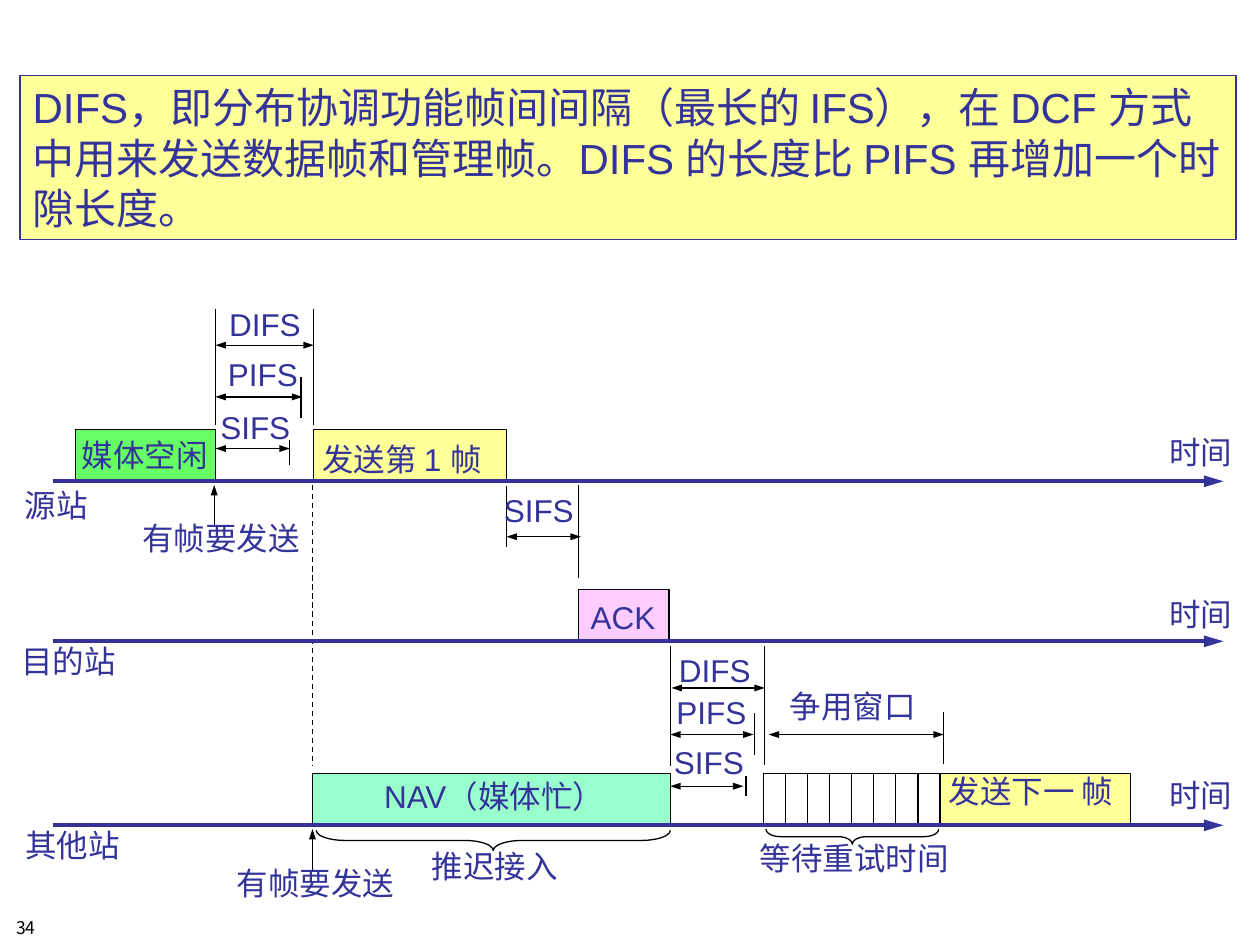
from lxml import etree
from pptx import Presentation
from pptx.dml.color import RGBColor
from pptx.enum.dml import MSO_LINE
from pptx.enum.shapes import MSO_CONNECTOR, MSO_SHAPE
from pptx.enum.text import MSO_ANCHOR, MSO_AUTO_SIZE, PP_ALIGN
from pptx.oxml.ns import qn
from pptx.util import Inches, Pt

STRAIGHT = MSO_CONNECTOR.STRAIGHT
DASH = MSO_LINE.DASH
RECT = MSO_SHAPE.RECTANGLE
BRACE = MSO_SHAPE.LEFT_BRACE
TOP = MSO_ANCHOR.TOP
LEFT = PP_ALIGN.LEFT
GROW = MSO_AUTO_SIZE.SHAPE_TO_FIT_TEXT
LATIN, HAN = "Arial", "Noto Sans CJK SC"
BLACK, BLUE, YELLOW = "000000", "333399", "FFFF99"
TALL = 0.41  # height of a frame on its time axis
SLACK = 0.06  # spare width that keeps a label on one line
SOURCE, TARGET, OTHER = 3.82, 5.09, 6.55  # heights of the time axes


def paint(part, color):
    """Colour a fill or a font."""
    if hasattr(part, "solid"):
        part.solid()
        part.fore_color.rgb = RGBColor.from_string(color)
    else:
        part.color.rgb = RGBColor.from_string(color)


def outline(line, color=BLACK, width=0.75):
    paint(line.fill, color)
    line.width = Pt(width)


def write(frame, text, size=18, color=BLUE, font=LATIN, wrap=False):
    frame.word_wrap = wrap
    frame.auto_size = GROW
    frame.vertical_anchor = TOP
    par = frame.paragraphs[0]
    par.alignment = LEFT
    run = par.add_run()
    run.text = text
    run.font.size = Pt(size)
    run.font.name = font
    paint(run.font, color)
    etree.SubElement(run.font._element, qn("a:ea")).set("typeface", HAN)


def label(slide, text, x, y, w, **style):
    box = slide.shapes.add_textbox(
        Inches(x), Inches(y), Inches(w + SLACK), Inches(0.4))
    write(box.text_frame, text, **style)


def link(slide, x1, y1, x2, y2, color=BLACK, width=0.75, heads=(),
         shape=("sm", "med"), dash=None):
    """Draw a line; heads may hold headEnd and tailEnd, shape their w and len."""
    line = slide.shapes.add_connector(
        STRAIGHT, Inches(x1), Inches(y1), Inches(x2), Inches(y2))
    outline(line.line, color, width)
    if dash:
        line.line.dash_style = dash
    pen = line.line._get_or_add_ln()
    for head in heads:
        tip = etree.SubElement(pen, qn("a:" + head))
        tip.set("type", "triangle")
        tip.set("w", shape[0])
        tip.set("len", shape[1])
    etree.SubElement(line._element.spPr, qn("a:effectLst"))


def block(slide, points, color):
    """Draw an open outline that rests on a time axis."""
    spots = [(Inches(x), Inches(y)) for x, y in points]
    pen = slide.shapes.build_freeform(*spots[0])
    pen.add_line_segments(spots[1:], close=False)
    shape = pen.convert_to_shape()
    shape.shadow.inherit = False
    paint(shape.fill, color)
    outline(shape.line)


def brace(slide, x, y, w, h, bend):
    """Draw a brace that points down, w wide and h high."""
    left, top = x + (w - h) / 2, y + (h - w) / 2
    shape = slide.shapes.add_shape(
        BRACE, Inches(left), Inches(top), Inches(h), Inches(w))
    shape.rotation = 270
    shape.adjustments[0] = bend
    shape.shadow.inherit = False
    shape.fill.background()
    outline(shape.line)


def note(slide):
    shape = slide.shapes.add_shape(
        RECT, Inches(0.16), Inches(0.6), Inches(9.65), Inches(1.3))
    shape.shadow.inherit = False
    paint(shape.fill, YELLOW)
    outline(shape.line, BLUE)
    write(shape.text_frame,
          "DIFS，即分布协调功能帧间间隔（最长的 IFS），在 DCF 方式中用来发送"
          "数据帧和管理帧。DIFS 的长度比 PIFS 再增加一个时隙长度。",
          size=24, wrap=True)


def frames(slide):
    for x1, x2, base, color in [
            (0.6, 1.71, SOURCE, "66FF66"), (2.49, 4.02, SOURCE, YELLOW),
            (4.59, 5.31, TARGET, "FFCCFF"), (2.48, 5.32, OTHER, "99FFCC"),
            (7.46, 8.97, OTHER, YELLOW)]:
        top = base - TALL
        block(slide, [(x1, base), (x1, top), (x2, top), (x2, base)], color)


def slots(slide):
    """Divide the contention window into eight equal slots."""
    left, right, count = 6.06, 7.46, 8
    top = OTHER - TALL
    block(slide, [(left, OTHER), (left, top), (right, top)], "FFFFFF")
    for i in range(1, count):
        x = left + (right - left) * i / count
        link(slide, x, top, x, OTHER)


def marks(slide):
    for x, y1, y2 in [
            (1.71, 2.45, 3.37), (2.49, 2.45, 3.37), (2.39, 2.99, 3.32),
            (2.3, 3.49, 3.69), (4.02, 3.86, 4.34), (4.59, 3.85, 4.59),
            (5.32, 5.13, 6.08), (6.07, 5.13, 6.07), (5.99, 5.66, 5.99),
            (5.92, 6.16, 6.32), (7.49, 5.65, 6.06)]:
        link(slide, x, y1, x, y2)
    link(slide, 2.48, 3.85, 2.48, 6.08, dash=DASH)


def spans(slide):
    for x1, x2, y in [
            (1.71, 2.49, 2.74), (1.71, 2.4, 3.15), (1.71, 2.3, 3.56),
            (4.02, 4.61, 4.26), (5.33, 6.07, 5.46), (5.32, 5.98, 5.83),
            (5.32, 5.9, 6.24), (6.1, 7.49, 5.83)]:
        link(slide, x1, y, x2, y, heads=("headEnd", "tailEnd"))


def labels(slide):
    for text, x, y, w in [
            ("DIFS", 1.72, 2.37, 0.77), ("PIFS", 1.71, 2.77, 0.75),
            ("SIFS", 1.65, 3.19, 0.75), ("SIFS", 3.9, 3.85, 0.75),
            ("DIFS", 5.29, 5.12, 0.77), ("PIFS", 5.27, 5.45, 0.75),
            ("SIFS", 5.25, 5.85, 0.75), ("媒体空闲", 0.55, 3.41, 1.27),
            ("发送第 1 帧", 2.46, 3.44, 1.58), ("ACK", 4.59, 4.7, 0.71),
            ("NAV（媒体忙）", 2.95, 6.12, 2.02), ("争用窗口", 6.17, 5.4, 1.2),
            ("发送下一 帧", 7.43, 6.08, 1.5), ("推迟接入", 3.33, 6.67, 1.2),
            ("等待重试时间", 5.93, 6.61, 1.7)]:
        label(slide, text, x, y, w)


def cues(slide):
    """Show when a frame becomes ready to send."""
    for x, base, left, top in [(1.7, SOURCE, 1.03, 4.07),
                               (2.48, OTHER, 1.78, 6.81)]:
        link(slide, x, base + 0.36, x, base + 0.03, heads=("tailEnd",))
        label(slide, "有帧要发送", left, top, 1.45)


def axes(slide):
    for name, y, x, top, w, clock in [
            ("源站", SOURCE, 0.1, 3.81, 0.7, 3.39),
            ("目的站", TARGET, 0.07, 5.05, 0.95, 4.67),
            ("其他站", OTHER, 0.1, 6.51, 0.95, 6.11)]:
        link(slide, 0.42, y, 9.71, y, BLUE, 2.25, ("tailEnd",), ("med", "lg"))
        label(slide, name, x, top, w)
        label(slide, "时间", 9.18, clock, 0.7)


def main():
    deck = Presentation()
    deck.slide_width, deck.slide_height = Inches(10), Inches(7.5)
    slide = deck.slides.add_slide(deck.slide_layouts[6])
    note(slide)
    frames(slide)
    slots(slide)
    marks(slide)
    spans(slide)
    brace(slide, 2.51, 6.59, 2.81, 0.16, 1.44)
    brace(slide, 6.08, 6.58, 1.37, 0.12, 0.95)
    labels(slide)
    cues(slide)
    axes(slide)
    label(slide, "34", 0.03, 7.23, 1.44, size=10, color=BLACK, font=HAN, wrap=True)
    deck.save("out.pptx")


if __name__ == "__main__":
    main()
